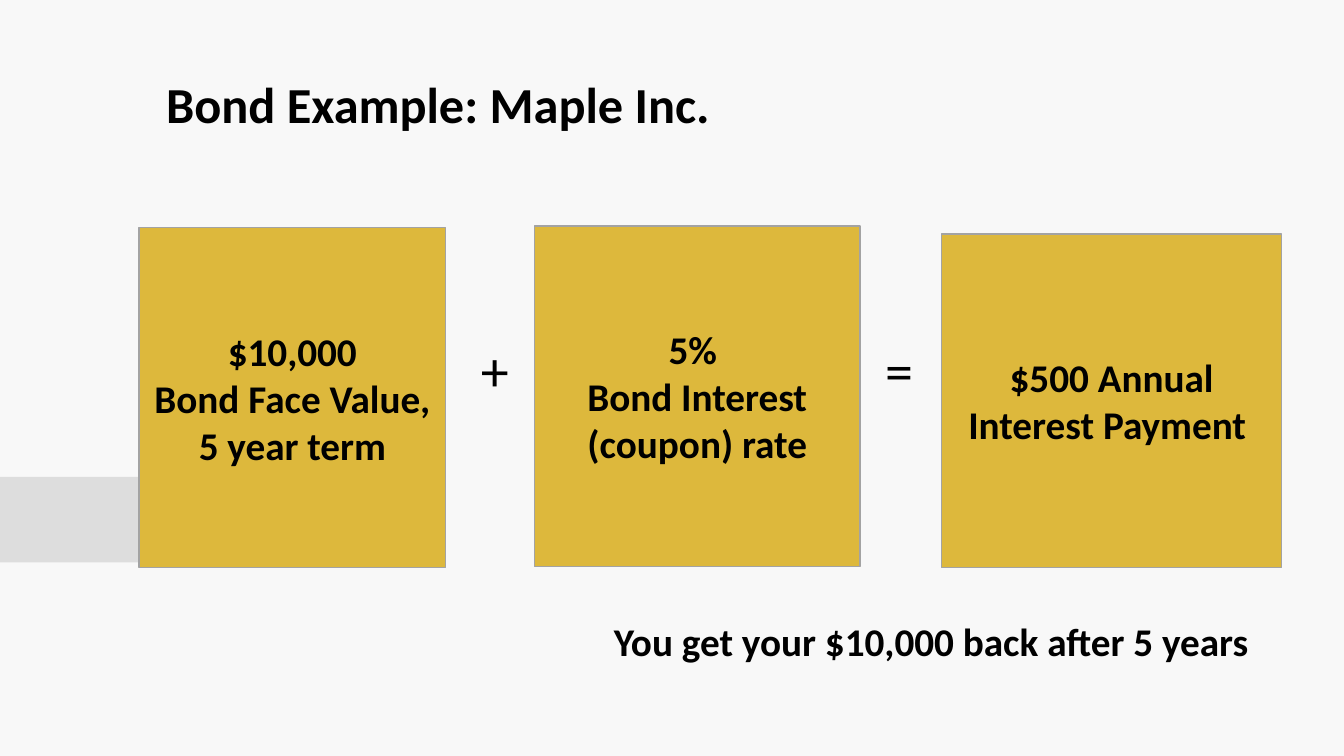
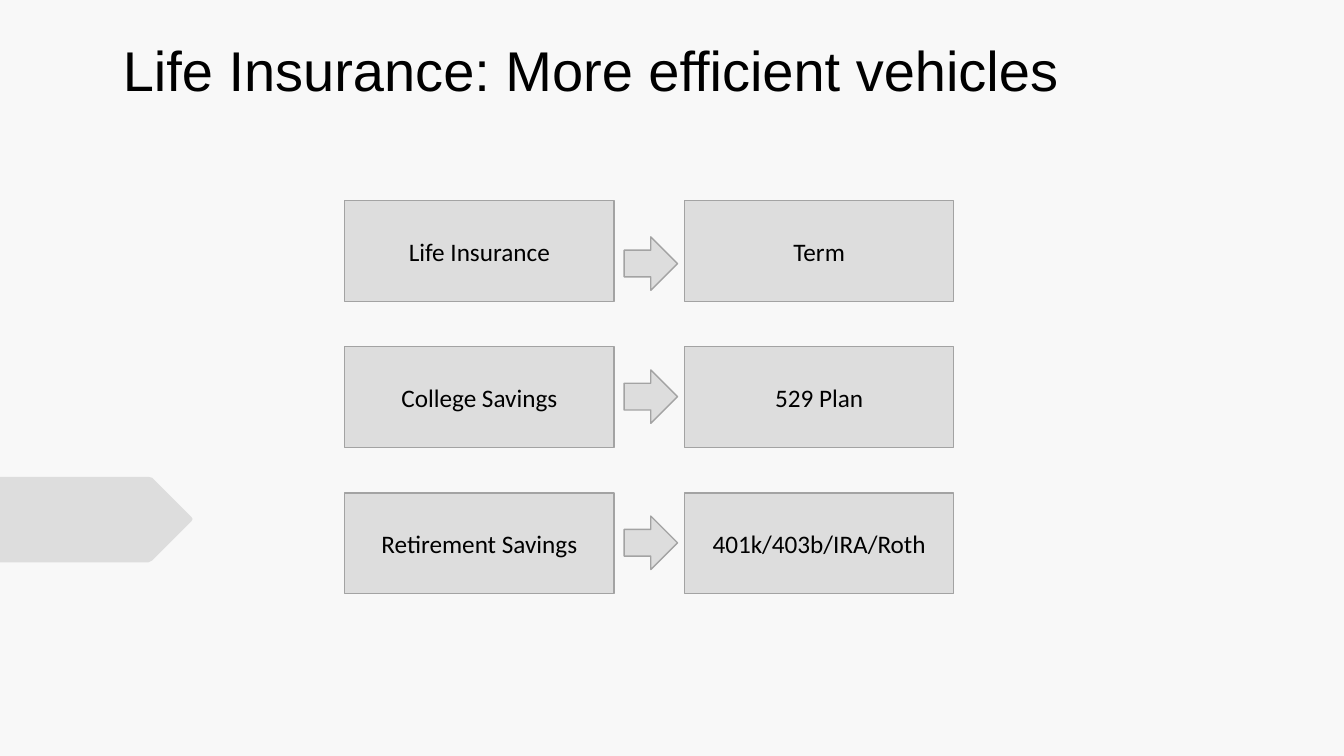
from dataclasses import dataclass

from pptx import Presentation
from pptx.dml.color import RGBColor
from pptx.enum import shapes, text
from pptx.slide import Slide
from pptx.util import Inches, Pt

BACKGROUND = "F8F8F8"
GRAY = "DDDDDD"
GOLD = "DDB83C"
OUTLINE = "A3A3A3"
BLACK = "000000"

TAG_OUTLINE = [(0, 4.73), (1.47, 4.73), (1.51, 4.74), (1.9, 5.13), (1.91, 5.15),
               (1.9, 5.17), (1.51, 5.56), (1.47, 5.58), (0, 5.58)]


@dataclass(frozen=True)
class Area:
    left: float
    top: float
    width: float
    height: float

    def lengths(self) -> list[Inches]:
        return [Inches(v) for v in (self.left, self.top, self.width, self.height)]


@dataclass(frozen=True)
class Style:
    size: float
    bold: bool = False
    font: str = "Calibri"


@dataclass(frozen=True)
class Term:
    """One boxed term of the bond equation."""
    words: str
    area: Area


@dataclass(frozen=True)
class Swap:
    """A need, the vehicle that serves it, and the top of the arrow between."""
    need: str
    vehicle: str
    arrow_top: float


BOND_TEXT = Style(28, bold=True)
BOND_TITLE = Style(36, bold=True)
OPERATOR = Style(40)
INSURANCE_TITLE = Style(40, font="Arial")
VEHICLE_TEXT = Style(18)

TERMS = [
    Term("$10,000\nBond Face Value, 5 year term", Area(1.38, 2.26, 3.04, 3.37)),
    Term("5% \nBond Interest (coupon) rate", Area(5.3, 2.24, 3.23, 3.38)),
    Term("$500 Annual Interest Payment ", Area(9.34, 2.32, 3.37, 3.31)),
]
SWAPS = [
    Swap("Life Insurance", "Term", 2.35),
    Swap("College Savings", "529 Plan", 3.67),
    Swap("Retirement Savings", "401k/403b/IRA/Roth", 5.12),
]
NEED_LEFT, ARROW_LEFT, VEHICLE_LEFT = 3.42, 6.19, 6.79
FIRST_ROW, ROW_STEP = 1.99, 1.45
BOX_WIDTH, BOX_HEIGHT, ARROW_SIZE = 2.67, 1, 0.53


def color(hex_code: str) -> RGBColor:
    return RGBColor.from_string(hex_code)


def write(frame, words: str, style: Style, align=text.PP_ALIGN.LEFT) -> None:
    frame.text = words
    frame.word_wrap = True
    for paragraph in frame.paragraphs:
        paragraph.alignment = align
        for run in paragraph.runs:
            run.font.name = style.font
            run.font.size = Pt(style.size)
            run.font.bold = style.bold
            run.font.color.rgb = color(BLACK)


def add_label(slide: Slide, words: str, area: Area, style: Style) -> None:
    write(slide.shapes.add_textbox(*area.lengths()).text_frame, words, style)


def add_outlined(slide: Slide, kind, area: Area, fill: str):
    shape = slide.shapes.add_shape(kind, *area.lengths())
    shape.shadow.inherit = False
    shape.fill.solid()
    shape.fill.fore_color.rgb = color(fill)
    shape.line.color.rgb = color(OUTLINE)
    shape.line.width = Pt(1)
    return shape


def add_box(slide: Slide, words: str, area: Area, fill: str, style: Style) -> None:
    frame = add_outlined(slide, shapes.MSO_SHAPE.RECTANGLE, area, fill).text_frame
    frame.vertical_anchor = text.MSO_ANCHOR.MIDDLE
    write(frame, words, style, text.PP_ALIGN.CENTER)


def add_base_slide(prs) -> Slide:
    """Blank slide with the gray tag at its left edge."""
    slide = prs.slides.add_slide(prs.slide_layouts[6])
    start, *rest = [(Inches(x), Inches(y)) for x, y in TAG_OUTLINE]
    builder = slide.shapes.build_freeform(*start)
    builder.add_line_segments(rest, close=True)
    tag = builder.convert_to_shape()
    tag.shadow.inherit = False
    tag.fill.solid()
    tag.fill.fore_color.rgb = color(GRAY)
    tag.line.fill.background()
    return slide


def add_bond_slide(prs) -> None:
    slide = add_base_slide(prs)
    add_label(slide, "Bond Example: Maple Inc.", Area(1.55, 0.68, 7, 0.71), BOND_TITLE)
    for term in TERMS:
        add_box(slide, term.words, term.area, GOLD, BOND_TEXT)
    add_label(slide, "+", Area(4.67, 3.28, 0.55, 0.77), OPERATOR)
    add_label(slide, "=", Area(8.68, 3.28, 0.55, 0.77), OPERATOR)
    add_label(slide, "You get your $10,000 back after 5 years",
              Area(5.99, 6.08, 6.8, 0.57), BOND_TEXT)


def add_insurance_slide(prs) -> None:
    slide = add_base_slide(prs)
    add_label(slide, "Life Insurance: More efficient vehicles",
              Area(1.12, 0.3, 10, 0.77), INSURANCE_TITLE)
    for row, swap in enumerate(SWAPS):
        top = FIRST_ROW + row * ROW_STEP
        for left, words in ((NEED_LEFT, swap.need), (VEHICLE_LEFT, swap.vehicle)):
            add_box(slide, words, Area(left, top, BOX_WIDTH, BOX_HEIGHT), GRAY, VEHICLE_TEXT)
        add_outlined(slide, shapes.MSO_SHAPE.RIGHT_ARROW,
                     Area(ARROW_LEFT, swap.arrow_top, ARROW_SIZE, ARROW_SIZE), GRAY)


def main() -> None:
    prs = Presentation()
    prs.slide_width, prs.slide_height = Inches(13.33), Inches(7.5)
    backdrop = prs.slide_master.background.fill
    backdrop.solid()
    backdrop.fore_color.rgb = color(BACKGROUND)
    add_bond_slide(prs)
    add_insurance_slide(prs)
    prs.save("out.pptx")


if __name__ == "__main__":
    main()
